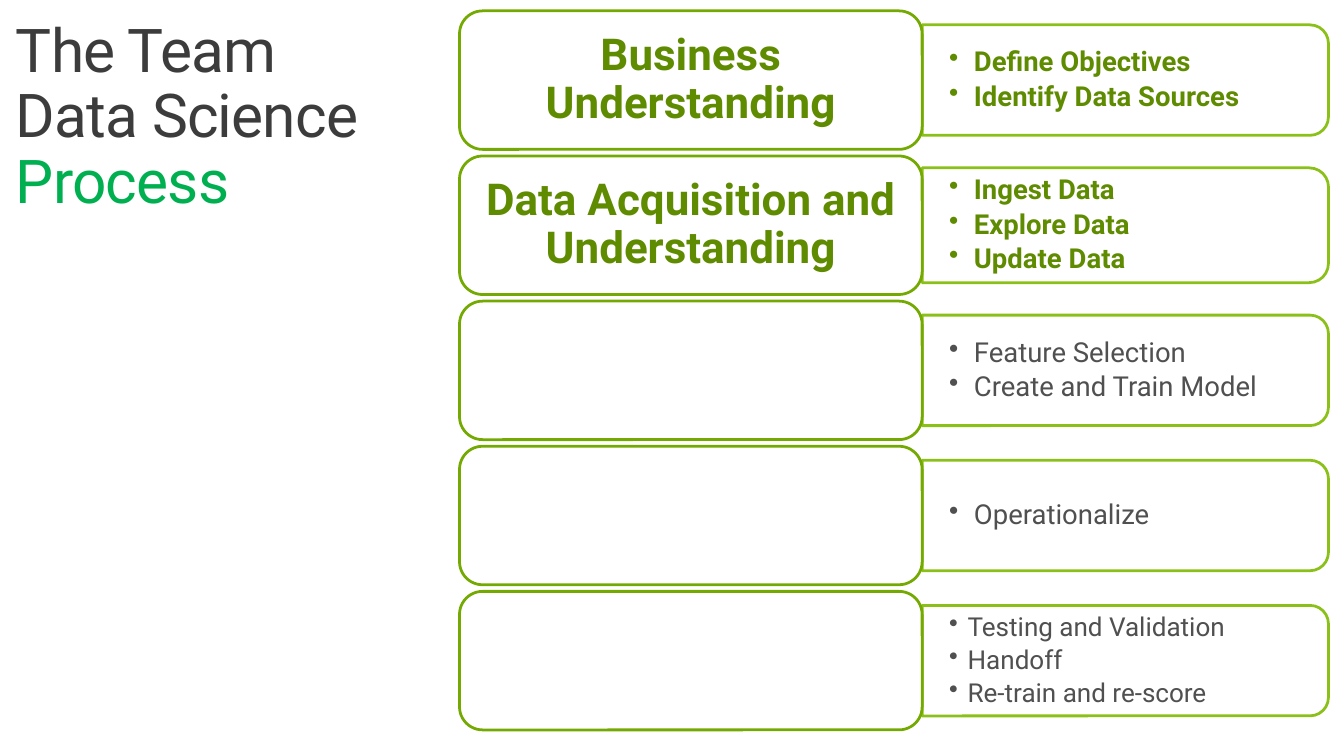
"""Build the Team Data Science Process slide with five stages and their tasks."""
from lxml.etree import SubElement
from pptx import Presentation
from pptx.dml.color import RGBColor
from pptx.enum.shapes import MSO_SHAPE
from pptx.enum.text import MSO_ANCHOR, PP_ALIGN
from pptx.oxml.ns import qn
from pptx.util import Cm, Pt

FONT = "Roboto"
WHITE, DARK, GRAY = "FFFFFF", "3C3C3C", "505050"
PROCESS_GREEN, STAGE_GREEN = "00B050", "5F8B00"
CARD_LINE, PANEL_LINE = "73A900", "7FBA00"

TITLE = [("The Team Data Science ", DARK), ("Process", PROCESS_GREEN)]
STAGES = [
    {"name": "Business Understanding", "size": 20, "indent": 0.64, "height": 2.84,
     "tasks": ["Define Objectives", "Identify Data Sources"]},
    {"name": "Data Acquisition and Understanding", "size": 20, "indent": 0.64, "height": 2.95,
     "tasks": ["Ingest Data", "Explore Data", "Update Data"]},
    {"name": "", "size": 20, "indent": 0.64, "height": 2.84,
     "tasks": ["Feature Selection", "Create and Train Model"]},
    {"name": "", "size": 20, "indent": 0.64, "height": 2.84,
     "tasks": ["Operationalize"]},
    {"name": "", "size": 19, "indent": 0.48, "height": 2.84,
     "tasks": ["Testing and Validation", "Handoff", "Re-train and re-score"]},
]

CARD_LEFT, CARD_TOP, CARD_WIDTH, CARD_HEIGHT = 11.81, 0.28, 11.89, 3.56
ROW_STEP = 3.73
PANEL_LEFT, PANEL_WIDTH = CARD_LEFT + CARD_WIDTH, 10.44
TASKS_WIDTH, TASKS_INSET = 10.29, 0.28


def color(value):
    return RGBColor.from_string(value)


def set_frame(frame, side, edge, anchor):
    frame.word_wrap = True
    frame.margin_left = frame.margin_right = Cm(side)
    frame.margin_top = frame.margin_bottom = Cm(edge)
    frame.vertical_anchor = anchor


def add_span(para, text, size, tint, bold=False):
    para.line_spacing = 0.9
    span = para.add_run()
    span.text = text
    span.font.name = FONT
    span.font.size = Pt(size)
    span.font.bold = bold
    span.font.color.rgb = color(tint)
    return span


def add_outline(page, preset, left, top, width, height, line):
    box = page.shapes.add_shape(preset, Cm(left), Cm(top), Cm(width), Cm(height))
    box.shadow.inherit = False
    box.fill.solid()
    box.fill.fore_color.rgb = color(WHITE)
    box.line.color.rgb = color(line)
    box.line.width = Pt(2)
    return box


def add_title(page):
    box = page.shapes.add_textbox(Cm(0), Cm(0.28), Cm(9.8), Cm(5.74))
    set_frame(box.text_frame, 0.41, 0.25, MSO_ANCHOR.TOP)
    for text, tint in TITLE:
        span = add_span(box.text_frame.paragraphs[0], text, 44, tint)
        span.font._element.set("spc", "-60")


def add_panel(page, middle, height):
    left = PANEL_LEFT + (PANEL_WIDTH - height) / 2
    panel = add_outline(page, MSO_SHAPE.ROUND_2_SAME_RECTANGLE, left,
                        middle - PANEL_WIDTH / 2, height, PANEL_WIDTH, PANEL_LINE)
    panel.rotation = 90
    for tint in panel.element.spPr.iter(qn("a:srgbClr")):
        SubElement(tint, qn("a:alpha"), val="90000")


def add_tasks(page, middle, stage):
    height = stage["height"] - TASKS_INSET
    box = page.shapes.add_textbox(Cm(PANEL_LEFT), Cm(middle - height / 2),
                                  Cm(TASKS_WIDTH), Cm(height))
    frame = box.text_frame
    set_frame(frame, 0.69, 0.36, MSO_ANCHOR.MIDDLE)
    named = bool(stage["name"])
    for index, task in enumerate(stage["tasks"]):
        para = frame.add_paragraph() if index else frame.paragraphs[0]
        para.space_after = Pt(3.5)
        add_span(para, task, stage["size"], STAGE_GREEN if named else GRAY, named)
        props = para._p.get_or_add_pPr()
        props.set("marL", str(Cm(stage["indent"])))
        props.set("indent", str(-Cm(stage["indent"])))
        SubElement(props, qn("a:buChar"), char="•")


def add_card(page, top, name):
    card = add_outline(page, MSO_SHAPE.ROUNDED_RECTANGLE, CARD_LEFT, top,
                       CARD_WIDTH, CARD_HEIGHT, CARD_LINE)
    if name:
        set_frame(card.text_frame, 0.33, 0.18, MSO_ANCHOR.MIDDLE)
        para = card.text_frame.paragraphs[0]
        para.alignment = PP_ALIGN.CENTER
        add_span(para, name, 32, STAGE_GREEN, True)


def main():
    deck = Presentation()
    deck.slide_width, deck.slide_height = Cm(34.54), Cm(19.43)
    page = deck.slides.add_slide(deck.slide_layouts[6])
    add_title(page)
    for row, stage in enumerate(STAGES):
        top = CARD_TOP + row * ROW_STEP
        middle = top + CARD_HEIGHT / 2
        add_panel(page, middle, stage["height"])
        add_tasks(page, middle, stage)
        add_card(page, top, stage["name"])
    deck.save("out.pptx")


if __name__ == "__main__":
    main()
